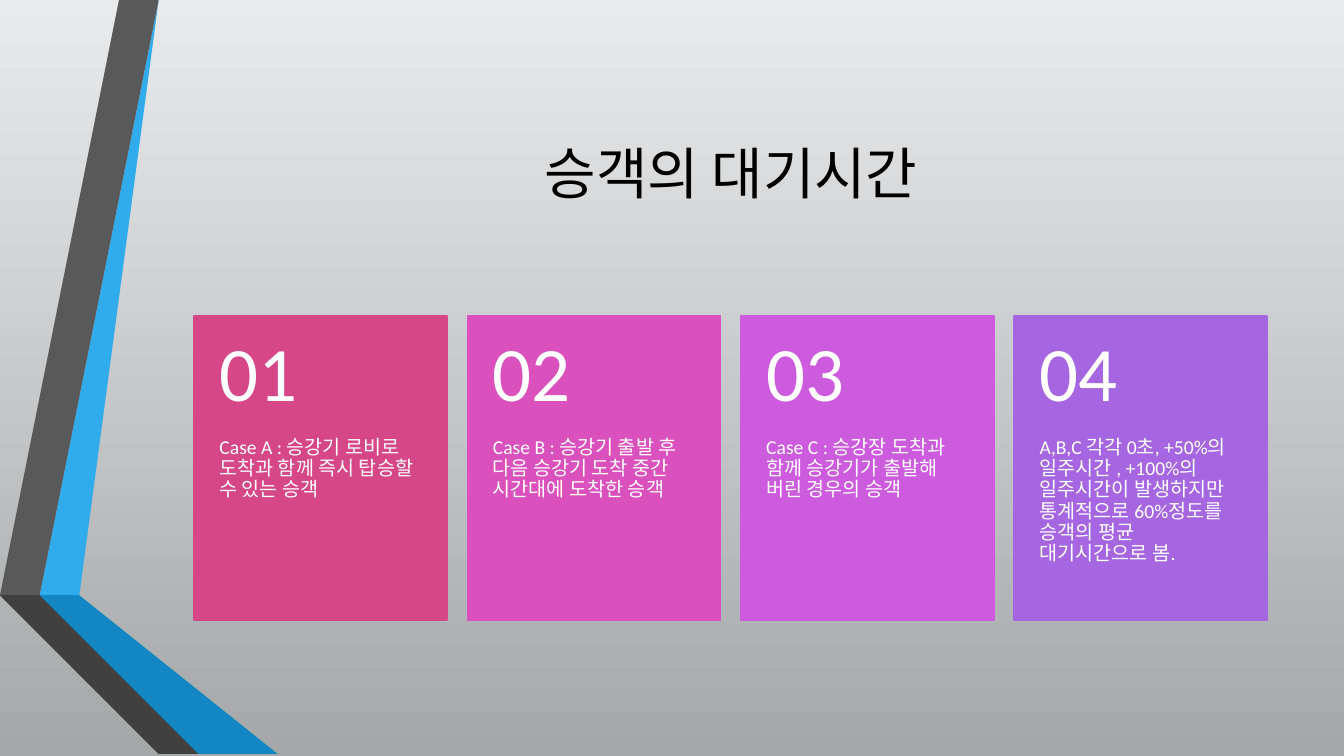
import pptx
import pptx.util
import pptx.dml.color
import pptx.enum.shapes
import pptx.enum.text

Cm = pptx.util.Cm
Pt = pptx.util.Pt
ALIGN = pptx.enum.text.PP_ALIGN
ANCHOR = pptx.enum.text.MSO_ANCHOR
WIDE, HIGH = 33.87, 19.05

# Ribbon outlines in cm, from back to front
BANDS = [
    ("30ACEC", [(1.27, 14.68), (1.96, 14.81), (4.39, 0), (3.68, 0)]),
    ("595959", [(3.53, 0), (2.82, 0), (0.41, 14.55), (1.12, 14.66)]),
    ("262626", [(0.41, 14.55), (3.68, HIGH), (3.84, HIGH)]),
    ("0C5A82", [(1.27, 14.71), (5.28, HIGH), (5.44, HIGH)]),
    ("1287C3", [(1.27, 14.71), (5.44, HIGH), (7.19, HIGH),
                (1.96, 14.81), (1.27, 14.68)]),
    ("404040", [(5.13, HIGH), (1.22, 14.81), (1.09, 14.68),
                (1.12, 14.66), (0.41, 14.55), (3.84, HIGH)]),
]

CASES = [
    ("D64787", "Case A : 승강기 로비로 도착과 함께 즉시 탑승할 수 있는 승객"),
    ("DA51BD", "Case B : 승강기 출발 후 다음 승강기 도착 중간 시간대에 도착한 승객"),
    ("CC5BDE", "Case C : 승강장 도착과 함께 승강기가 출발해 버린 경우의 승객"),
    ("A666E1", "A,B,C 각각 0초, +50%의 일주시간 , +100%의 일주시간이 발생하지만 "
               "통계적으로 60%정도를 승객의 평균 대기시간으로 봄."),
]


def tint(code):
    return pptx.dml.color.RGBColor.from_string(code)


def apply(part, form):
    for name, value in form.items():
        setattr(part, name, value)


def paint(shape, code):
    shape.shadow.inherit = False
    shape.fill.solid()
    shape.fill.fore_color.rgb = tint(code)


def write(slide, box, text, size, code, frame, para):
    area = slide.shapes.add_textbox(*map(Cm, box)).text_frame
    apply(area, {"word_wrap": True, **frame})
    line = area.paragraphs[0]
    apply(line, para)
    run = line.add_run()
    run.text = text
    apply(run.font, {"name": "Calibri", "size": Pt(size)})
    run.font.color.rgb = tint(code)


# Backdrop gradient, light at the top
def backdrop(slide):
    fill = slide.background.fill
    fill.gradient()
    fill.gradient_angle = 270
    for stop, code in zip(fill.gradient_stops, ("E9EAEB", "A5A8A9")):
        stop.color.rgb = tint(code)


# Folded ribbons on the left edge
def ribbons(slide, left, top):
    for code, dots in BANDS:
        pen = slide.shapes.build_freeform(*dots[0], scale=Cm(1))
        pen.add_line_segments(dots[1:], close=True)
        band = pen.convert_to_shape(Cm(left), Cm(top))
        paint(band, code)
        band.line.fill.background()


# Slide heading
def heading(slide, box):
    write(slide, box, "승객의 대기시간", 40, "000000",
          {"vertical_anchor": ANCHOR.MIDDLE}, {"alignment": ALIGN.CENTER})


# One coloured card: number above, text below
def card(slide, box, label, code, text):
    left, top, width, height = box
    rect = slide.shapes.add_shape(
        pptx.enum.shapes.MSO_SHAPE.RECTANGLE, *map(Cm, box))
    paint(rect, code)
    rect.line.color.rgb = tint(code)
    rect.line.width = Pt(1.25)
    head = height * 0.4
    sides = {"margin_left": Cm(0.64), "margin_right": Cm(0.64)}
    para = {"line_spacing": 0.9, "alignment": ALIGN.LEFT}
    write(slide, (left, top + head, width, height - head), text, 14, "FFFFFF",
          {**sides, "margin_top": 0, "margin_bottom": Cm(0.91),
           "vertical_anchor": ANCHOR.TOP}, para)
    write(slide, (left, top, width, head), label, 55, "FFFFFF",
          {**sides, "margin_top": Cm(0.46), "margin_bottom": Cm(0.46),
           "vertical_anchor": ANCHOR.MIDDLE}, para)


# Row of equal cards with equal gaps
def cards(slide, box, gap):
    left, top, width, height = box
    count = len(CASES)
    wide = (width - gap * (count - 1)) / count
    for spot, (code, text) in enumerate(CASES):
        place = (left + spot * (wide + gap), top, wide, height)
        card(slide, place, f"{spot + 1:02}", code, text)


def main():
    deck = pptx.Presentation()
    apply(deck, {"slide_width": Cm(WIDE), "slide_height": Cm(HIGH)})
    slide = deck.slides.add_slide(deck.slide_layouts[6])
    backdrop(slide)
    ribbons(slide, 0, 0)
    heading(slide, (4.9, 1.9, 27.05, 4.88))
    cards(slide, (4.89, 7.96, 27.05, 7.67), 0.51)
    deck.save("out.pptx")


if __name__ == "__main__":
    main()
